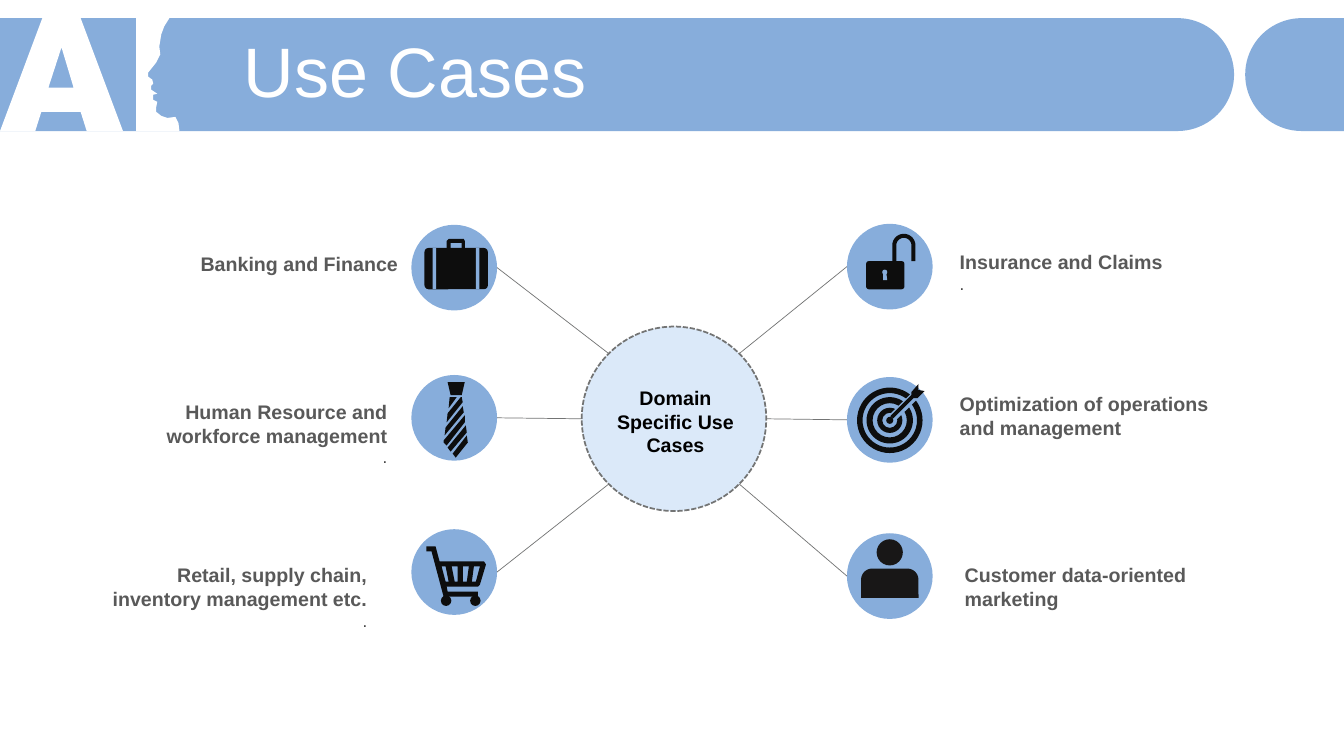
import math

import pptx
import pptx.dml.color
import pptx.enum.dml
import pptx.enum.shapes
import pptx.enum.text
import pptx.oxml.ns
import pptx.util
from lxml import etree

SHAPE = pptx.enum.shapes.MSO_SHAPE
ALIGN = pptx.enum.text.PP_ALIGN
BLUE, PALE, INK, GREY, WHITE = "87ADDB", "DBE9F9", "0D0D0D", "737474", "FFFFFF"


def rgb(value):
    return pptx.dml.color.RGBColor.from_string(value)


def write(tf, text, size=14, color="595959", bold=True, align=ALIGN.LEFT,
          spacing=None, before=None):
    p = tf.paragraphs[0] if not tf.text else tf.add_paragraph()
    p.alignment = align
    p.line_spacing = spacing
    p.space_before = before
    r = p.add_run()
    r.text = text
    r.font.name = "Arial"
    r.font.size = pptx.util.Pt(size)
    r.font.bold = bold
    r.font.color.rgb = rgb(color)


def arc(cx, cy, radius, start, end, steps=40):
    angles = [math.radians(start + (end - start) * i / steps) for i in range(steps + 1)]
    return [(cx + radius * math.cos(a), cy + radius * math.sin(a)) for a in angles]


class Board:
    """Draws on one slide with a square grid of 75 rows."""

    def __init__(self, prs):
        self.s = prs.slides.add_slide(prs.slide_layouts[6])
        self.unit = prs.slide_height / 75

    def emu(self, *lengths):
        return [round(n * self.unit) for n in lengths]

    def paint(self, sp, fill, line=None):
        sp.shadow.inherit = False
        sp.fill.solid()
        sp.fill.fore_color.rgb = rgb(fill)
        if line:
            sp.line.color.rgb = rgb(line)
            sp.line.width = pptx.util.Pt(1.25)
            sp.line.dash_style = pptx.enum.dml.MSO_LINE.SQUARE_DOT
        else:
            sp.line.fill.background()
        return sp

    def shape(self, kind, x, y, w, h, fill, line=None, adjust=None):
        sp = self.s.shapes.add_shape(kind, *self.emu(x, y, w, h))
        if adjust is not None:
            sp.adjustments[0] = adjust
        return self.paint(sp, fill, line)

    def disc(self, cx, cy, radius, fill, line=None):
        return self.shape(SHAPE.OVAL, cx - radius, cy - radius, 2 * radius, 2 * radius, fill, line)

    def ring(self, cx, cy, outer, inner, fill):
        return self.shape(SHAPE.DONUT, cx - outer, cy - outer, 2 * outer, 2 * outer,
                          fill, adjust=(outer - inner) / (2 * outer))

    def outline(self, contours, fill):
        builder = None
        for contour in contours:
            points = [self.emu(*point) for point in contour]
            if builder is None:
                builder = self.s.shapes.build_freeform(*points[0], scale=1.0)
            else:
                builder.move_to(*points[0])
            builder.add_line_segments(points[1:], close=True)
        return self.paint(builder.convert_to_shape(), fill)

    def line(self, start, end, color=GREY, width=0.5):
        ln = self.s.shapes.add_connector(
            pptx.enum.shapes.MSO_CONNECTOR.STRAIGHT, *self.emu(*start, *end))
        ln.line.color.rgb = rgb(color)
        ln.line.width = pptx.util.Pt(width)
        etree.SubElement(ln._element.spPr, pptx.oxml.ns.qn("a:effectLst"))

    def text(self, x, y, w, h, text, dot=False, middle=False, **style):
        tf = self.s.shapes.add_textbox(*self.emu(x, y, w, h)).text_frame
        tf.word_wrap = True
        if middle:
            tf.vertical_anchor = pptx.enum.text.MSO_ANCHOR.MIDDLE
        else:
            tf.auto_size = pptx.enum.text.MSO_AUTO_SIZE.SHAPE_TO_FIT_TEXT
        write(tf, text, **style)
        if dot:
            write(tf, ".", **{**style, "size": 12, "color": "404040", "bold": False})


def draw_header(board):
    board.outline([[(0, 1.8)] + arc(116.8, 7.4, 5.6, -90, 90) + [(0, 13)]], BLUE)
    letter = [(4.2, 1.8), (8, 1.8), (12.2, 13), (8.6, 13), (8, 11.1), (4.1, 11.1),
              (3.5, 13), (0, 13)]
    counter = [(6.1, 4.7), (4.8, 8.7), (7.3, 8.7)]
    profile = [(13.5, 1.8), (16.8, 1.8), (16.3, 2.6), (16, 3.4), (15.8, 4.6), (15.9, 5.4),
               (15.5, 6.2), (15.1, 6.7), (14.7, 7.2), (14.7, 7.6), (15.1, 7.9), (15.2, 8.3),
               (15, 8.5), (15, 8.9), (15.6, 9.3), (15.2, 9.4), (15.2, 9.9), (15.6, 10.1),
               (15.5, 10.6), (15.5, 11.1), (16, 11.5), (16.6, 11.7), (17.4, 11.6),
               (17.7, 12.2), (17.8, 13), (13.5, 13)]
    board.outline([letter, counter, profile], WHITE)
    board.outline([arc(129.1, 7.4, 5.6, 90, 270) + [(133.33, 1.8), (133.33, 13)]], BLUE)
    board.text(23.2, 3.7, 106.9, 7.9, "Use Cases", middle=True, size=50, color=WHITE,
               bold=False, spacing=0.8, before=pptx.util.Pt(10))


def draw_cart(board):
    frame = [(43.2, 54.2), (43.6, 55.7), (48, 55.7), (48.2, 56), (47.6, 58), (47.4, 58.2),
             (44.3, 58.2), (44.4, 58.7), (47.4, 58.7), (47.4, 59.2), (44, 59.2),
             (42.8, 54.7), (42.3, 54.7), (42.3, 54.2)]
    slots = [[(43.8, 56.2), (44.2, 56.2), (44.5, 57.7), (44.2, 57.7)],
             [(44.8, 56.2), (45.4, 56.2), (45.4, 57.7), (45.1, 57.7)],
             [(45.9, 56.2), (46.5, 56.2), (46.3, 57.7), (45.9, 57.7)],
             [(47, 56.2), (47.6, 56.2), (47.2, 57.7), (46.8, 57.7)]]
    board.outline([frame, *slots], INK)
    for x in (44.25, 47.15):
        board.disc(x, 59.6, 0.52, INK)


def draw_person(board):
    board.disc(88.25, 54.8, 1.3, "181717")
    board.shape(SHAPE.ROUND_2_SAME_RECTANGLE, 85.4, 56.4, 5.7, 2.9, "181717", adjust=0.38)


def draw_tie(board):
    board.outline([
        [(44.4, 37.9), (46.1, 37.9), (45.8, 39.2), (44.7, 39.2)],
        [(44.6, 39.4), (45.3, 39.4), (44.5, 40.5)],
        [(45.7, 39.4), (45.8, 39.4), (45.9, 39.9), (44.3, 41.9), (44.4, 41)],
        [(45.9, 40.3), (46, 40.9), (44.1, 43.2), (44.2, 42.4)],
        [(46.1, 41.2), (46.1, 41.9), (44.3, 44.2), (44, 43.9), (44, 43.7)],
        [(46.2, 42.2), (46.3, 42.9), (44.7, 44.8), (44.4, 44.4)],
        [(46.3, 43.2), (46.4, 43.9), (45.2, 45.4), (44.9, 45)]], INK)


def draw_target(board):
    cx, cy = 88.25, 41.7
    for outer, inner in ((3.25, 2.7), (2.3, 1.7), (1.25, 0.75)):
        board.ring(cx, cy, outer, inner, INK)
    board.line((cx + 0.4, cy - 0.4), (91, 39), BLUE, 6)
    board.disc(cx, cy, 0.35, INK)
    board.outline([[(91.1, 38.1), (91.1, 38.7), (91.7, 38.8), (91, 39.5), (90.6, 39.5),
                    (88.6, 41.5), (88.3, 41.3), (90.4, 39.2), (90.4, 38.9)]], INK)


def draw_lock(board):
    board.shape(SHAPE.ROUNDED_RECTANGLE, 85.9, 25.9, 3.8, 2.8, INK, adjust=0.1)
    board.outline([[(88.5, 25.9)] + arc(89.65, 24.35, 1.15, 180, 360) + [(90.8, 25.9), (90.4, 25.9)]
                   + arc(89.65, 24.35, 0.75, 360, 180) + [(88.9, 25.9)]], INK)
    board.disc(87.75, 27, 0.25, BLUE)
    board.outline([[(87.6, 27), (87.9, 27), (88, 27.8), (87.6, 27.8)]], BLUE)


def draw_suitcase(board):
    board.shape(SHAPE.ROUNDED_RECTANGLE, 42.1, 24.6, 6.3, 4.1, INK, adjust=0.1)
    for x in (42.9, 47.2):
        board.shape(SHAPE.RECTANGLE, x, 24.6, 0.35, 4.1, BLUE)
    board.outline([[(44.3, 24.6), (44.3, 23.9), (44.5, 23.7), (46, 23.7), (46.1, 23.9),
                    (46.1, 24.6), (45.8, 24.6), (45.8, 24.1), (44.7, 24.1), (44.7, 24.6)]], INK)


def main():
    prs = pptx.Presentation()
    prs.slide_width = pptx.util.Inches(13.33)
    prs.slide_height = pptx.util.Inches(7.5)
    board = Board(prs)
    draw_header(board)

    right = ALIGN.RIGHT
    labels = [
        (94.2, 24.3, 29.7, 5.4, "Insurance and Claims", True, ALIGN.LEFT),
        (94.2, 38.4, 29.7, 7.7, "Optimization of operations and management", False, ALIGN.LEFT),
        (94.7, 55.4, 29.7, 7.7, "Customer data-oriented marketing", False, ALIGN.LEFT),
        (18.9, 24.5, 24.9, 3.4, "Banking and Finance", False, ALIGN.LEFT),
        (9.5, 39.2, 29.9, 7.7, "Human Resource and workforce management", True, right),
        (7.5, 55.4, 29.9, 7.7, "Retail, supply chain, inventory management etc.", True, right)]
    for x, y, w, h, label, dot, align in labels:
        board.text(x, y, w, h, label, dot, align=align)

    hub_x, hub_y, hub_radius, radius = 66.85, 41.55, 9.15, 4.25
    board.disc(hub_x, hub_y, 8.05, PALE)
    board.disc(hub_x, hub_y, hub_radius, PALE, GREY)
    for cx, side, rows in ((45.05, -1, (26.55, 41.45, 56.75)), (88.25, 1, (26.45, 41.65, 57.15))):
        for cy, angle in zip(rows, (-45, 0, 45)):
            board.disc(cx, cy, radius, BLUE)
            turn = math.radians(angle)
            board.line((cx - side * radius, cy),
                       (hub_x + side * hub_radius * math.cos(turn),
                        hub_y + hub_radius * math.sin(turn)))
    board.text(59.2, 37.8, 15.6, 8.1, "Domain Specific Use Cases", color="000000",
               align=ALIGN.CENTER)

    for draw in (draw_cart, draw_person, draw_tie, draw_target, draw_lock, draw_suitcase):
        draw(board)
    prs.save("out.pptx")


if __name__ == "__main__":
    main()
